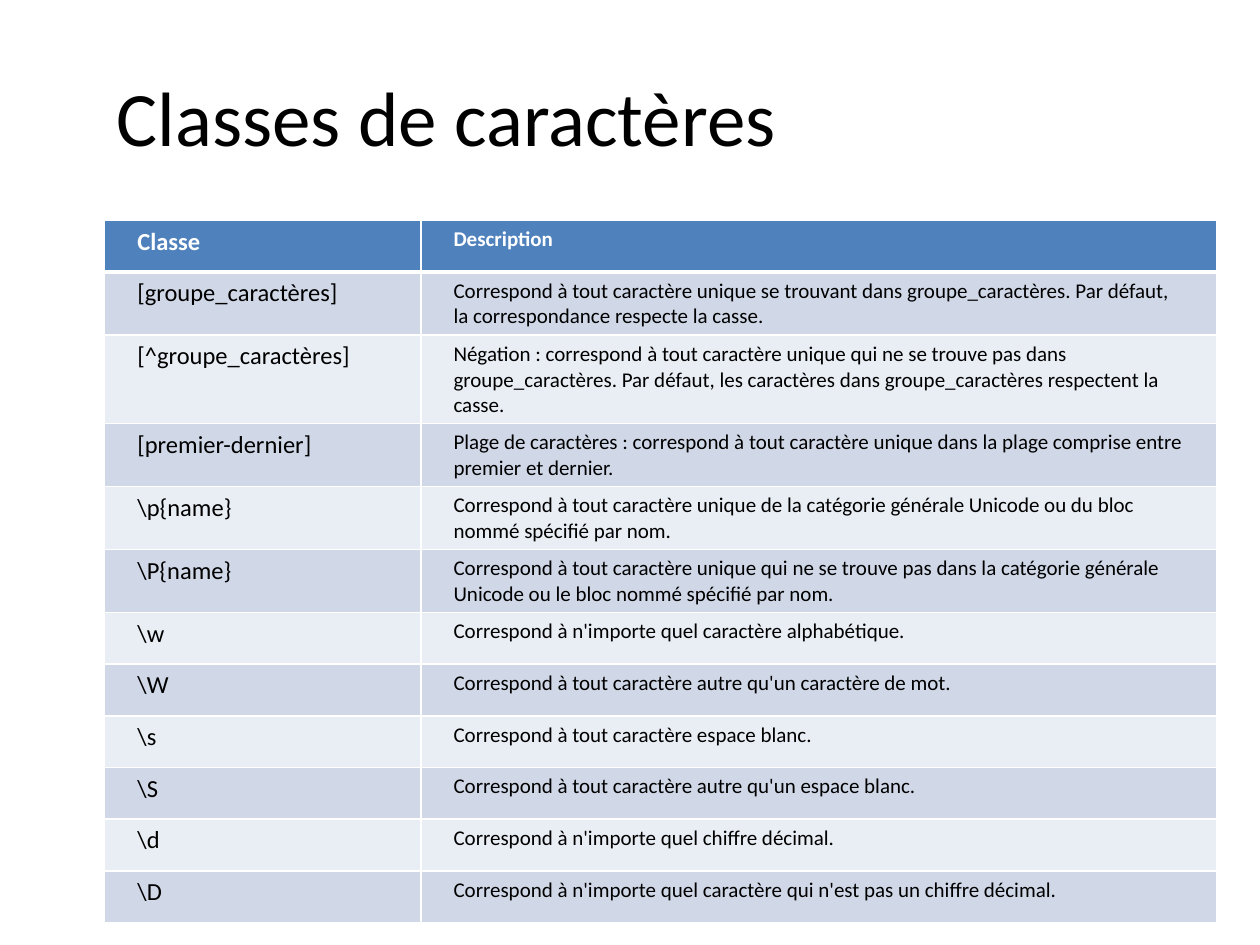
from lxml import etree
from pptx import Presentation
from pptx import util as u
from pptx.dml.color import RGBColor
from pptx.enum import text
from pptx.oxml.ns import qn

TITLE = "Classes de caractères"
HEADER = ("Classe", "Description")
CLASSES = [
    ("[groupe_caractères]", "Correspond à tout caractère unique se trouvant dans "
     "groupe_caractères. Par défaut, la correspondance respecte la casse."),
    ("[^groupe_caractères]", "Négation : correspond à tout caractère unique qui ne se trouve "
     "pas dans groupe_caractères. Par défaut, les caractères dans groupe_caractères "
     "respectent la casse."),
    ("[premier-dernier]", "Plage de caractères : correspond à tout caractère unique dans la "
     "plage comprise entre premier et dernier."),
    (r"\p{name}", "Correspond à tout caractère unique de la catégorie générale Unicode "
     "ou du bloc nommé spécifié par nom."),
    (r"\P{name}", "Correspond à tout caractère unique qui ne se trouve pas dans la "
     "catégorie générale Unicode ou le bloc nommé spécifié par nom."),
    (r"\w", "Correspond à n'importe quel caractère alphabétique."),
    (r"\W", "Correspond à tout caractère autre qu'un caractère de mot."),
    (r"\s", "Correspond à tout caractère espace blanc."),
    (r"\S", "Correspond à tout caractère autre qu'un espace blanc."),
    (r"\d", "Correspond à n'importe quel chiffre décimal."),
    (r"\D", "Correspond à n'importe quel caractère qui n'est pas un chiffre décimal."),
]
COLORS = {"text": "000000", "header_text": "FFFFFF", "header": "4F81BD",
          "odd": "D0D8E8", "even": "E9EDF4", "border": "FFFFFF"}
LEFT, WIDTH = u.Inches(0.83), u.Inches(8.83)
COLUMN_WIDTHS = (2.51, 6.32)
COLUMN_SIZES = (14, 12)
ROW_HEIGHT = u.Inches(0.41)
TABLE_HEIGHT = u.Inches(5.63)


def style(paragraph, size, color, bold=False):
    font = paragraph.font
    font.name, font.size, font.bold = "Calibri", u.Pt(size), bold
    font.color.rgb = RGBColor.from_string(COLORS[color])


def add_borders(cell, widths):
    """Draw the left, right, top and bottom borders, widths in points."""
    properties = cell._tc.get_or_add_tcPr()
    for position, (side, width) in enumerate(zip("LRTB", widths)):
        line = etree.Element(qn(f"a:ln{side}"), w=str(u.Pt(width)))
        fill = etree.SubElement(line, qn("a:solidFill"))
        etree.SubElement(fill, qn("a:srgbClr"), val=COLORS["border"])
        properties.insert(position, line)


prs = Presentation()
prs.slide_width, prs.slide_height = u.Inches(10), u.Inches(7.5)
slide = prs.slides.add_slide(prs.slide_layouts[6])

# Title
title = slide.shapes.add_textbox(LEFT, u.Inches(0.29), WIDTH, u.Inches(1.25)).text_frame
title.word_wrap = True
title.vertical_anchor = text.MSO_ANCHOR.MIDDLE
title.text = TITLE
style(title.paragraphs[0], 44, "text")

# Table of character classes
rows = [HEADER, *CLASSES]
frame = slide.shapes.add_table(len(rows), len(HEADER), LEFT, u.Inches(1.75), WIDTH, TABLE_HEIGHT)
table = frame.table
for column, width in zip(table.columns, COLUMN_WIDTHS):
    column.width = u.Inches(width)
for r, row in enumerate(rows):
    table.rows[r].height = ROW_HEIGHT
    is_header = r == 0
    band = "header" if is_header else "odd" if r % 2 else "even"
    for c, (content, size) in enumerate(zip(row, COLUMN_SIZES)):
        cell = table.cell(r, c)
        cell.text = content
        cell.margin_left = cell.margin_right = u.Inches(0.26)
        cell.margin_top = cell.margin_bottom = u.Inches(0.05)
        cell.fill.solid()
        cell.fill.fore_color.rgb = RGBColor.from_string(COLORS[band])
        add_borders(cell, (1, 1, 3 if r == 1 else 1, 3 if is_header else 1))
        style(cell.text_frame.paragraphs[0], size,
              "header_text" if is_header else "text", bold=is_header)
frame.height = TABLE_HEIGHT

prs.save("out.pptx")
